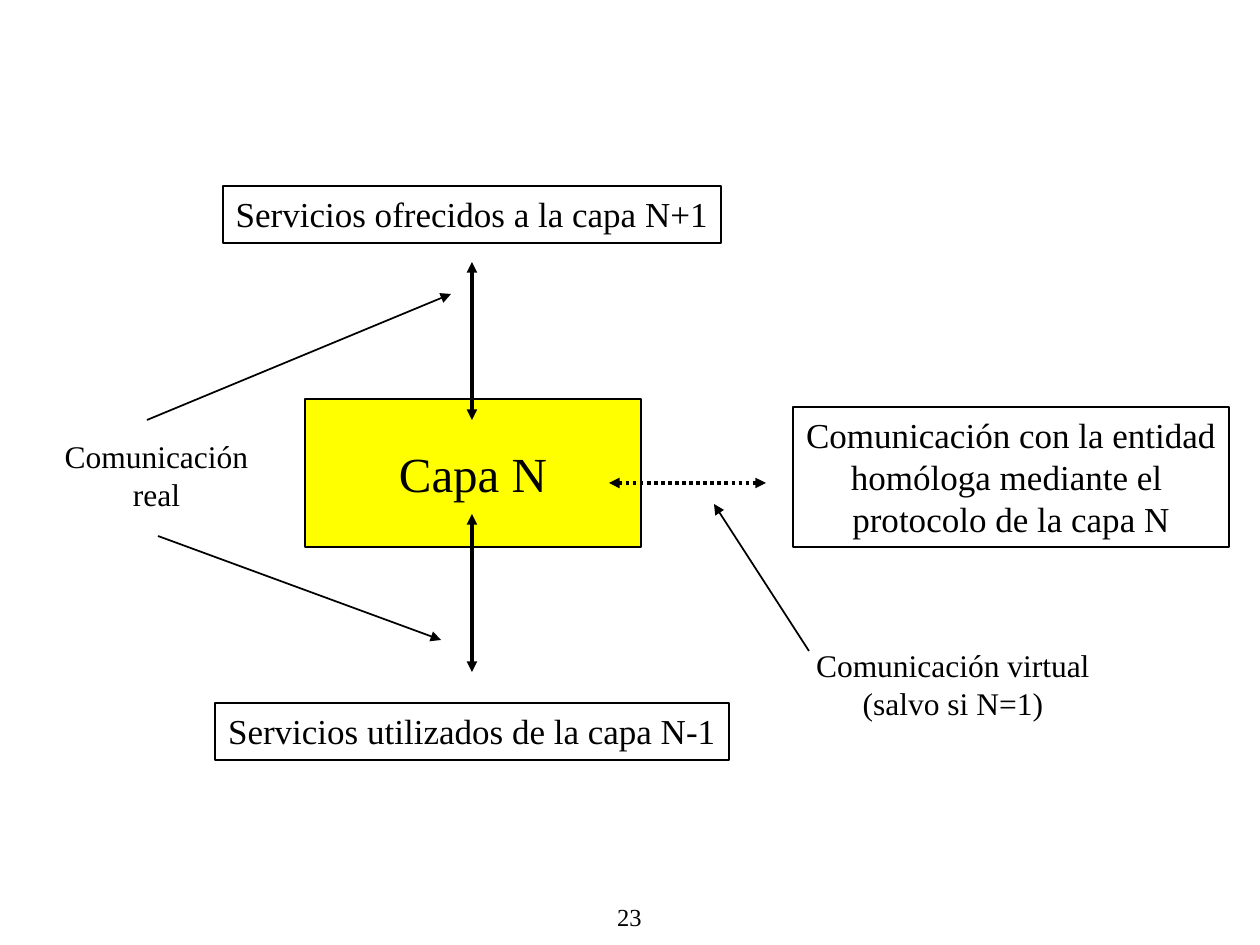
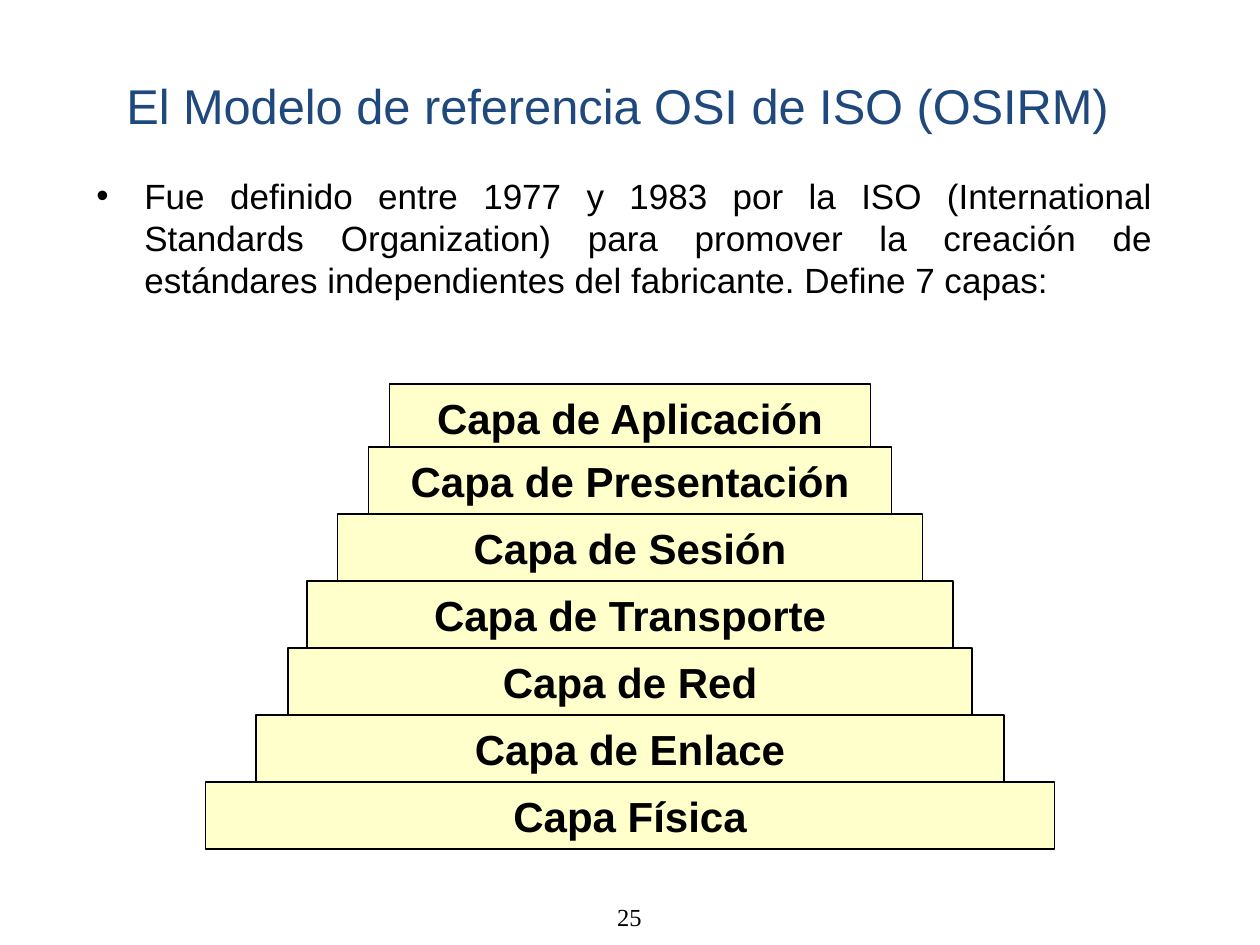
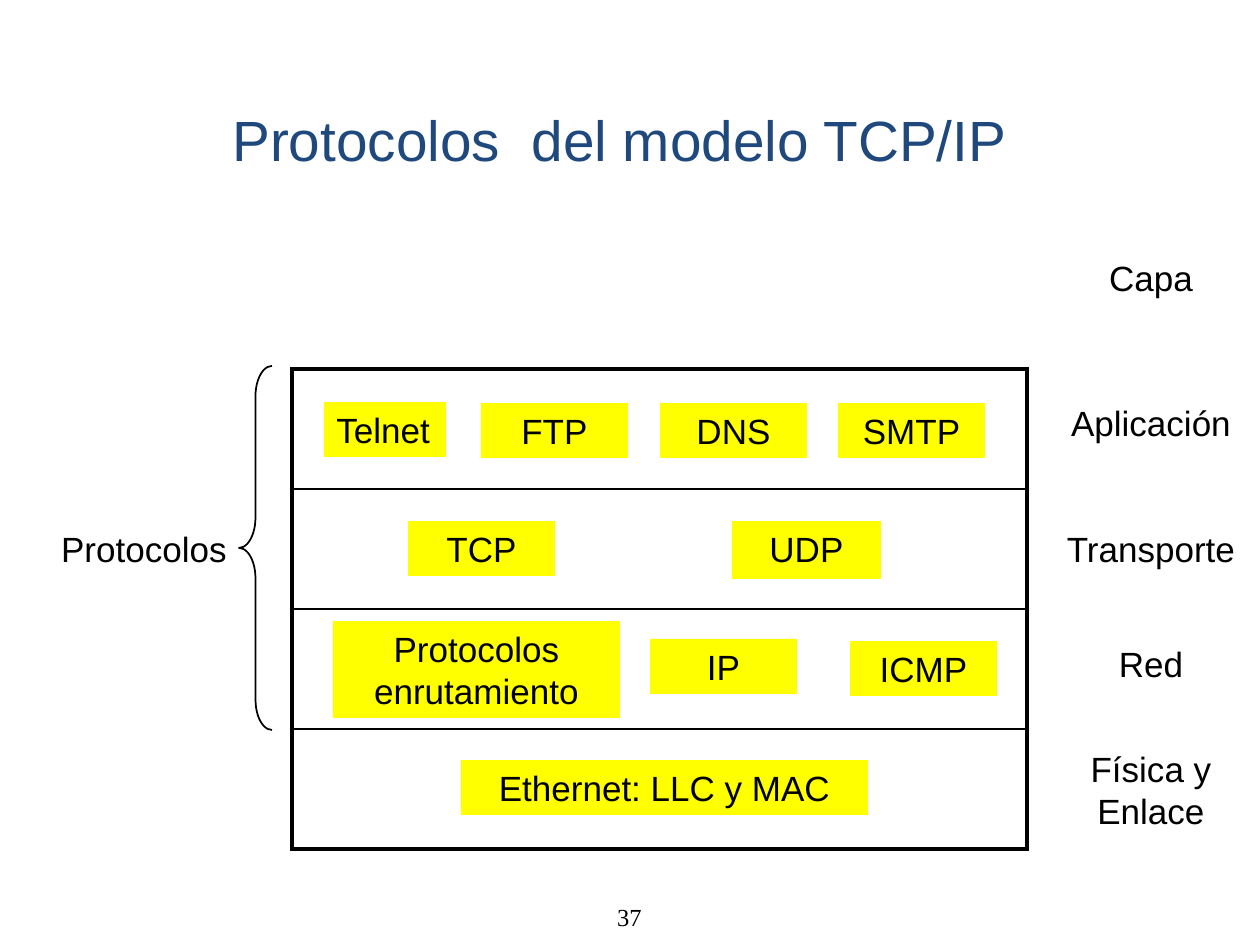
from lxml import etree
from pptx import Presentation
from pptx import util as u
from pptx.dml import color
from pptx.enum import dml, shapes, text
from pptx.oxml import ns

PX = u.Inches(1) / 126
BLACK, NAVY, YELLOW, CREAM = "000000", "1F497D", "FFFF00", "FFFFCC"
SANS, SERIF = "Arial", "Times New Roman"
LEFT, MID, RIGHT, JUST = (text.PP_ALIGN.LEFT, text.PP_ALIGN.CENTER,
                          text.PP_ALIGN.RIGHT, text.PP_ALIGN.JUSTIFY)


def emu(px):
    return round(px * PX)


def rgb(code):
    return color.RGBColor.from_string(code)


def sub(node, tag, **attrs):
    return etree.SubElement(node, ns.qn(tag), attrs)


def write(shape, words, size, font=SANS, align=MID, tint=BLACK, bold=False,
          wrap=False, middle=False):
    frame = shape.text_frame
    frame.text = words
    frame.word_wrap = wrap
    frame.vertical_anchor = text.MSO_ANCHOR.MIDDLE if middle else text.MSO_ANCHOR.TOP
    for para in frame.paragraphs:
        para.alignment = align
        for run in para.runs:
            run.font.name = font
            run.font.size = u.Pt(size)
            run.font.bold = bold
            run.font.color.rgb = rgb(tint)
    return frame


def label(slide, area, words, size, **style):
    shape = slide.shapes.add_textbox(*map(emu, area))
    return write(shape, words, size, **style)


def form(slide, area, fill=None, line=BLACK, kind=shapes.MSO_SHAPE.RECTANGLE):
    shape = slide.shapes.add_shape(kind, *map(emu, area))
    shape.shadow.inherit = False
    if fill:
        shape.fill.solid()
        shape.fill.fore_color.rgb = rgb(fill)
    else:
        shape.fill.background()
    if line:
        shape.line.color.rgb = rgb(line)
        shape.line.width = u.Pt(1)
    else:
        shape.line.fill.background()
    return shape


def arrow(slide, start, end, width=1, both=False, dash=None):
    wire = slide.shapes.add_connector(
        shapes.MSO_CONNECTOR.STRAIGHT, *map(emu, start + end))
    wire.line.color.rgb = rgb(BLACK)
    wire.line.width = u.Pt(width)
    if dash:
        wire.line.dash_style = dash
    props = wire._element.spPr
    edge = props.find(ns.qn("a:ln"))
    if both:
        sub(edge, "a:headEnd", type="triangle")
    sub(edge, "a:tailEnd", type="triangle")
    sub(props, "a:effectLst")


def head(slide, area, words, size):
    title = slide.shapes.title
    title.left, title.top, title.width, title.height = map(emu, area)
    return write(title, words, size, tint=NAVY, wrap=True, middle=True)


def page(deck, layout, number):
    slide = deck.slides.add_slide(deck.slide_layouts[layout])
    label(slide, (520, 897, 134, 39), number, 14, font=SERIF, align=RIGHT,
          wrap=True, middle=True)
    return slide


def border(cell, **sides):
    props = cell._tc.get_or_add_tcPr()
    for spot, (side, width) in enumerate(sides.items()):
        edge = etree.Element(ns.qn(f"a:{side}"), w=str(u.Pt(width)))
        sub(sub(edge, "a:solidFill"), "a:srgbClr", val=BLACK)
        props.insert(spot, edge)


def grid(slide, area, rows):
    frame = slide.shapes.add_table(rows, 1, *map(emu, area))
    table = frame.table
    table.first_row = table.horz_banding = False
    for row in range(rows):
        cell = table.cell(row, 0)
        cell.fill.background()
        border(cell, lnL=2.25, lnR=2.25, lnT=1 if row else 2.25,
               lnB=1 if row < rows - 1 else 2.25)


def services(deck):
    slide = page(deck, 6, "23")
    core = form(slide, (305, 399, 336, 148), YELLOW)
    write(core, "Capa N", 28, font=SERIF, middle=True)
    for top in (514, 262):
        arrow(slide, (472, top), (472, top + 158), 2, True)
    arrow(slide, (609, 483), (766, 483), 2, True, dml.MSO_LINE.ROUND_DOT)
    for area, words in (
            ((215, 703, 514, 57), "Servicios utilizados de la capa N-1"),
            ((223, 186, 498, 57), "Servicios ofrecidos a la capa N+1"),
            ((793, 407, 436, 140), "Comunicación con la entidad\n"
             "homóloga mediante el \nprotocolo de la capa N")):
        write(form(slide, area), words, 20, font=SERIF)
    for area, words in (
            ((803, 640, 300, 88), "Comunicación virtual\n(salvo si N=1)"),
            ((52, 431, 209, 88), "Comunicación\nreal")):
        label(slide, area, words, 18, font=SERIF)
    for start, end in (((809, 651), (714, 504)), ((147, 420), (451, 294)),
                       ((158, 536), (441, 640))):
        arrow(slide, start, end)


def layers(deck):
    slide = page(deck, 5, "25")
    head(slide, (73, 63, 1103, 84),
         "El Modelo de referencia OSI de ISO (OSIRM) ", 27.9)
    body = label(
        slide, (84, 168, 1081, 179),
        "Fue definido entre 1977 y 1983 por la ISO (International Standards "
        "Organization) para promover la creación de estándares independientes "
        "del fabricante. Define 7 capas:", 20, align=JUST, wrap=True)
    props = body.paragraphs[0]._p.get_or_add_pPr()
    props.set("marL", str(emu(48)))
    props.set("indent", str(emu(-48)))
    sub(props, "a:buFont", typeface=SANS)
    sub(props, "a:buChar", char="•")
    names = ("de Aplicación", "de Presentación", "de Sesión", "de Transporte",
             "de Red", "de Enlace", "Física")
    widths = (481, 523, 585, 646, 684, 748, 849)
    for step, (name, width) in enumerate(zip(names, widths)):
        top = max(384, 380 + 67 * step)
        bar = form(slide, (630 - width / 2, top, width, 67), CREAM)
        write(bar, f"Capa {name}", 24, bold=True, middle=True)


def stack(deck):
    slide = page(deck, 5, "37")
    grid(slide, (292, 369, 735, 480), 4)
    for area, words in (
            ((481, 403, 147, 55), "FTP"),
            ((660, 403, 147, 55), "DNS"),
            ((838, 403, 147, 55), "SMTP"),
            ((732, 521, 149, 58), "UDP"),
            ((408, 521, 147, 55), "TCP"),
            ((650, 639, 147, 55), "IP"),
            ((850, 641, 147, 55), "ICMP"),
            ((461, 760, 407, 55), "Ethernet: LLC y MAC"),
            ((333, 621, 287, 97), "Protocolos enrutamiento")):
        write(form(slide, area, YELLOW, None), words, 20, wrap=True)
    write(form(slide, (324, 402, 122, 55), YELLOW, None), "Telnet", 20, align=LEFT)
    for area, words in (
            ((1096, 250, 110, 97), "Capa"),
            ((1056, 395, 190, 54), "Aplicación"),
            ((1051, 521, 200, 54), "Transporte"),
            ((1101, 636, 100, 54), "Red"),
            ((1076, 741, 150, 97), "Física y\nEnlace"),
            ((44, 521, 200, 54), "Protocolos")):
        label(slide, area, words, 20)
    brace = form(slide, (239, 366, 33, 364), kind=shapes.MSO_SHAPE.LEFT_BRACE)
    brace.adjustments[0] = 0.92
    title = head(slide, (84, 96, 1071, 158), "Protocolos  del modelo TCP/IP", 32.4)
    title.margin_bottom = emu(78)


def main():
    deck = Presentation()
    deck.slide_width, deck.slide_height = emu(1260), emu(945)
    services(deck)
    layers(deck)
    stack(deck)
    deck.save("out.pptx")


if __name__ == "__main__":
    main()
